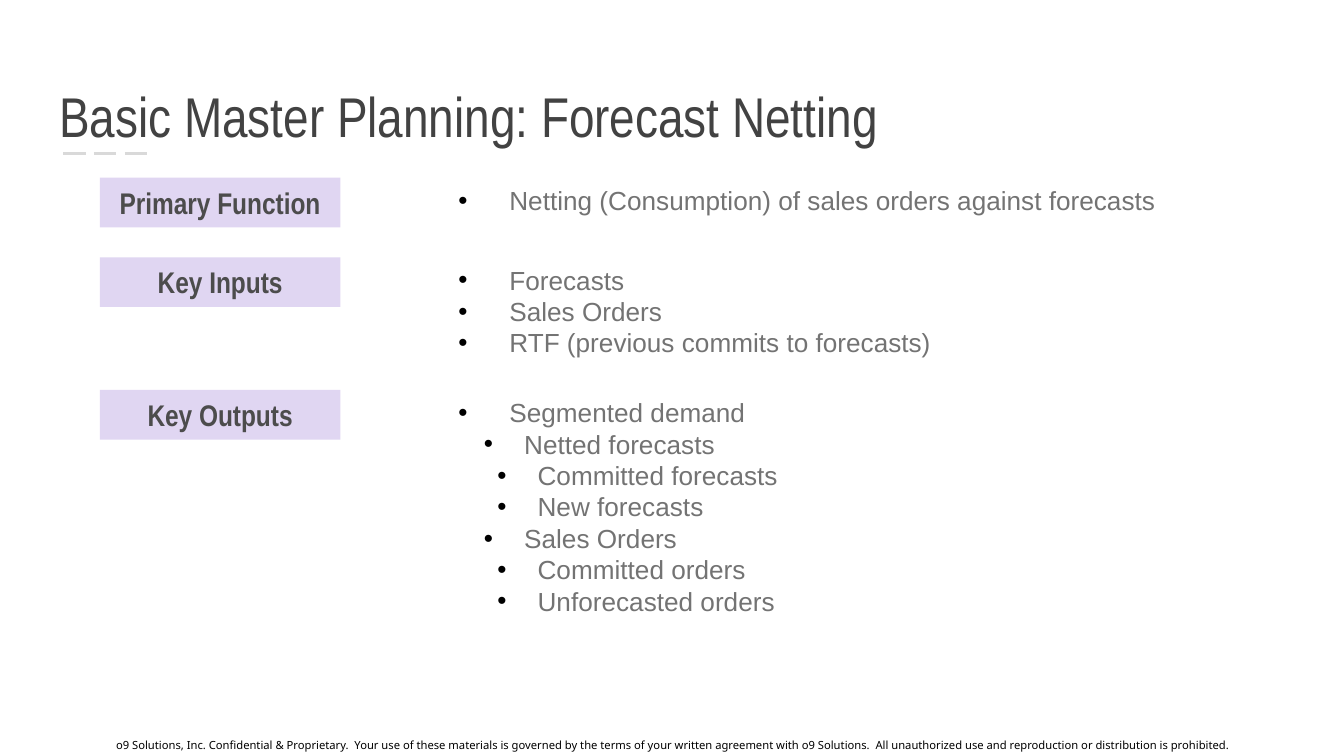
from dataclasses import dataclass

from lxml import etree
from pptx import Presentation
from pptx import util as u
from pptx.dml.color import RGBColor
from pptx.enum import dml, shapes, text
from pptx.oxml.ns import qn

# The slide is a grid of square cells: 100 columns by 56.25 rows.
CELL = u.Inches(0.1)
COLS, ROWS = 100, 56.25

BLACK = RGBColor(0x00, 0x00, 0x00)
TITLE = RGBColor(0x42, 0x42, 0x42)
LABEL = RGBColor(0x4C, 0x4C, 0x4C)
BODY = RGBColor(0x73, 0x73, 0x73)
LILAC = RGBColor(0xE0, 0xD6, 0xF2)
RULE = RGBColor(0xD9, 0xD9, 0xD9)

LABEL_COL, LABEL_W, LABEL_H = 7.43, 17.9, 3.7
LIST_COL, LINE_H, PAD = 33.1, 2.35, 1
INDENTS = [(0.38, 0.38), (0.49, 0.3), (0.59, 0.3)]  # text inset, bullet hang

TITLE_FONT = {"name": "Arial Narrow", "size": u.Pt(30), "bold": False}
LABEL_FONT = {"name": "Arial Narrow", "size": u.Pt(16), "bold": True}
BODY_FONT = {"name": "Arial", "size": u.Pt(14), "bold": False}
NOTE_FONT = {"name": "Noto Sans", "size": u.Pt(6), "bold": False}

NOTE = ("o9 Solutions, Inc. Confidential & Proprietary.  Your use of these "
        "materials is governed by the terms of your written agreement with "
        "o9 Solutions.  All unauthorized use and reproduction or distribution "
        "is prohibited.")


@dataclass
class Item:
    words: str
    depth: int = 0


@dataclass
class Section:
    label: str
    row: float
    width: float
    items: list[Item]


SECTIONS = [
    Section("Primary Function", 13.22, 54.1, [
        Item("Netting (Consumption) of sales orders against forecasts")]),
    Section("Key Inputs", 19.15, 37.3, [
        Item("Forecasts"),
        Item("Sales Orders"),
        Item("RTF (previous commits to forecasts)")]),
    Section("Key Outputs", 29.02, 26.1, [
        Item("Segmented demand"),
        Item("Netted forecasts", 1),
        Item("Committed forecasts", 2),
        Item("New forecasts", 2),
        Item("Sales Orders", 1),
        Item("Committed orders", 2),
        Item("Unforecasted orders", 2)]),
]


def grid(*cells: float) -> list[int]:
    return [round(c * CELL) for c in cells]


def place(shape, *cells: float) -> None:
    shape.left, shape.top, shape.width, shape.height = grid(*cells)


def frame(shape, anchor, wrap: bool = True, pad: float | None = None,
          fit=text.MSO_AUTO_SIZE.NONE):
    tf = shape.text_frame
    tf.word_wrap, tf.auto_size, tf.vertical_anchor = wrap, fit, anchor
    if pad is not None:
        for side in ("left", "top", "right", "bottom"):
            setattr(tf, f"margin_{side}", u.Inches(pad))
    return tf


def write(para, words: str, font: dict, color: RGBColor,
          align=text.PP_ALIGN.LEFT) -> None:
    para.alignment = align
    run = para.add_run()
    run.text = words
    for key, value in font.items():
        setattr(run.font, key, value)
    run.font.color.rgb = color


def bullet(para, depth: int) -> None:
    inset, hang = INDENTS[depth]
    props = para._p.get_or_add_pPr()
    props.set("marL", str(u.Inches(inset)))
    props.set("indent", str(-u.Inches(hang)))
    tint = etree.SubElement(props, qn("a:buClr"))
    etree.SubElement(tint, qn("a:srgbClr"), val=str(BLACK))
    etree.SubElement(props, qn("a:buFont"), typeface="Arial")
    etree.SubElement(props, qn("a:buChar"), char="•")


def draw_label(slide, sec: Section) -> None:
    box = slide.shapes.add_shape(
        shapes.MSO_SHAPE.RECTANGLE,
        *grid(LABEL_COL, sec.row, LABEL_W, LABEL_H))
    box.shadow.inherit = False
    box.fill.solid()
    box.fill.fore_color.rgb = LILAC
    box.line.fill.background()
    tf = frame(box, text.MSO_ANCHOR.TOP,
               fit=text.MSO_AUTO_SIZE.SHAPE_TO_FIT_TEXT)
    write(tf.paragraphs[0], sec.label, LABEL_FONT, LABEL,
          text.PP_ALIGN.CENTER)


def draw_list(holder, sec: Section) -> None:
    place(holder, LIST_COL, sec.row, sec.width,
          len(sec.items) * LINE_H + PAD)
    tf = frame(holder, text.MSO_ANCHOR.TOP, wrap=False,
               fit=text.MSO_AUTO_SIZE.SHAPE_TO_FIT_TEXT)
    for i, item in enumerate(sec.items):
        para = tf.add_paragraph() if i else tf.paragraphs[0]
        para.level = min(item.depth, 1)
        para.space_before = u.Pt(0)
        bullet(para, item.depth)
        write(para, item.words, BODY_FONT, BODY)


def draw_rule(slide) -> None:
    line = slide.shapes.add_connector(
        shapes.MSO_CONNECTOR.STRAIGHT, *grid(4.7, 11.4, 11.4, 11.4))
    line.line.color.rgb = RULE
    line.line.width = u.Pt(1.5)
    line.line.dash_style = dml.MSO_LINE.LONG_DASH
    etree.SubElement(line._element.spPr, qn("a:effectLst"))


def draw_note(slide) -> None:
    box = slide.shapes.add_textbox(*grid(0, 54.4, COLS, 2.1))
    tf = frame(box, text.MSO_ANCHOR.MIDDLE, pad=0.1)
    write(tf.paragraphs[0], NOTE, NOTE_FONT, BLACK, text.PP_ALIGN.CENTER)


def main() -> None:
    deck = Presentation()
    deck.slide_width, deck.slide_height = grid(COLS, ROWS)
    # The comparison layout has a title and four bodies; three are used.
    slide = deck.slides.add_slide(deck.slide_layouts[4])
    title, *lists, spare = list(slide.placeholders)
    spare._element.getparent().remove(spare._element)

    draw_rule(slide)
    draw_note(slide)
    place(title, 3.4, 4.1, 93.2, 8)
    tf = frame(title, text.MSO_ANCHOR.BOTTOM, pad=0.1)
    write(tf.paragraphs[0], "Basic Master Planning: Forecast Netting",
          TITLE_FONT, TITLE)
    for holder, sec in zip(lists, SECTIONS):
        draw_label(slide, sec)
        draw_list(holder, sec)
    deck.save("out.pptx")


if __name__ == "__main__":
    main()
